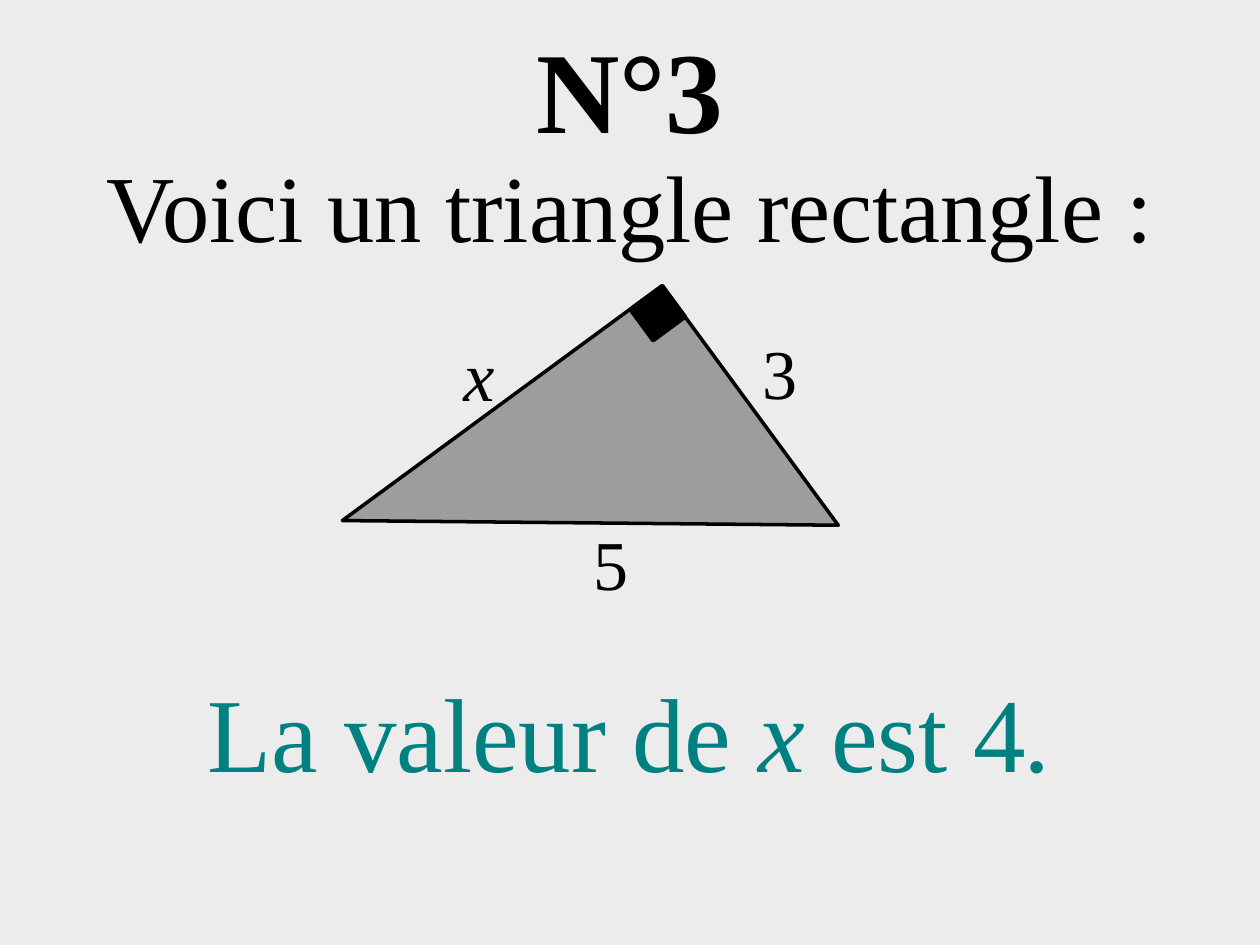
from pptx import Presentation
from pptx.dml.color import RGBColor
from pptx.enum.shapes import MSO_SHAPE
from pptx.enum.text import MSO_ANCHOR, MSO_AUTO_SIZE, PP_ALIGN
from pptx.util import Inches, Pt

TRI, RECT = MSO_SHAPE.RIGHT_TRIANGLE, MSO_SHAPE.RECTANGLE
MID, TOP = MSO_ANCHOR.MIDDLE, MSO_ANCHOR.TOP
MID_ALIGN, LEFT = PP_ALIGN.CENTER, PP_ALIGN.LEFT
NO_FIT, GROW = MSO_AUTO_SIZE.NONE, MSO_AUTO_SIZE.SHAPE_TO_FIT_TEXT

FONT = "Times New Roman"
TURN = 143.7
COLORS = {"back": "ECECEC", "ink": "000000", "face": "9D9D9D", "answer": "008080"}


def color(name):
    return RGBColor.from_string(COLORS[name])


def set_all(item, values):
    for name, value in values.items():
        setattr(item, name, value)


def fill_text(shape, runs, size, ink="ink", bold=False, frame=None, align=MID_ALIGN):
    """Write (text, italic) runs into one paragraph."""
    box = shape.text_frame
    set_all(box, frame or {"word_wrap": True, "auto_size": NO_FIT,
                           "vertical_anchor": MID})
    para = box.paragraphs[0]
    para.alignment = align
    for text, slant in runs:
        run = para.add_run()
        run.text = text
        set_all(run.font, {"name": FONT, "size": Pt(size), "bold": bold,
                           "italic": slant})
        run.font.color.rgb = color(ink)


def add_line(slide, top, runs, size, ink="ink"):
    """Add a centred line of text across the slide."""
    box = slide.shapes.add_textbox(0, Inches(top), Inches(10), Inches(1.57))
    fill_text(box, runs, size, ink)


def add_part(group, kind, at, fill):
    """Add a turned, outlined part of the figure."""
    part = group.shapes.add_shape(kind, *map(Inches, at))
    part.rotation = TURN
    part.shadow.inherit = False
    part.fill.solid()
    part.fill.fore_color.rgb = color(fill)
    part.line.color.rgb = color("ink")
    part.line.width = Pt(2)


def add_label(group, left, top, text, slant=False):
    """Name one side of the triangle."""
    box = group.shapes.add_textbox(*map(Inches, (left, top, 0.55, 0.77)))
    frame = {"word_wrap": True, "auto_size": GROW, "vertical_anchor": TOP}
    fill_text(box, [(text, slant)], 40, frame=frame, align=LEFT)


def main():
    deck = Presentation()
    deck.slide_width, deck.slide_height = Inches(10), Inches(7.5)
    slide = deck.slides.add_slide(deck.slide_layouts[5])
    back = slide.background.fill
    back.solid()
    back.fore_color.rgb = color("back")

    # Title
    title = slide.shapes.title
    set_all(title, {"left": 0, "top": 0, "width": Inches(10),
                    "height": Inches(1.39)})
    fill_text(title, [("N°3", False)], 66, bold=True)

    # Question and answer
    add_line(slide, 0.84, [("Voici un triangle rectangle :", False)], 54)
    answer = [("La valeur de ", False), ("x ", True), ("est 4", False), (".", True)]
    add_line(slide, 5.01, answer, 60, "answer")

    # Triangle with its right angle and side lengths
    group = slide.shapes.add_group_shape()
    add_part(group, TRI, (3.11, 2.97, 3.15, 2.36), "face")
    add_part(group, RECT, (5.06, 2.33, 0.32, 0.31), "ink")
    add_label(group, 5.95, 2.57, "3")
    add_label(group, 3.58, 2.58, "x", True)
    add_label(group, 4.61, 4.08, "5")

    deck.save("out.pptx")


if __name__ == "__main__":
    main()
